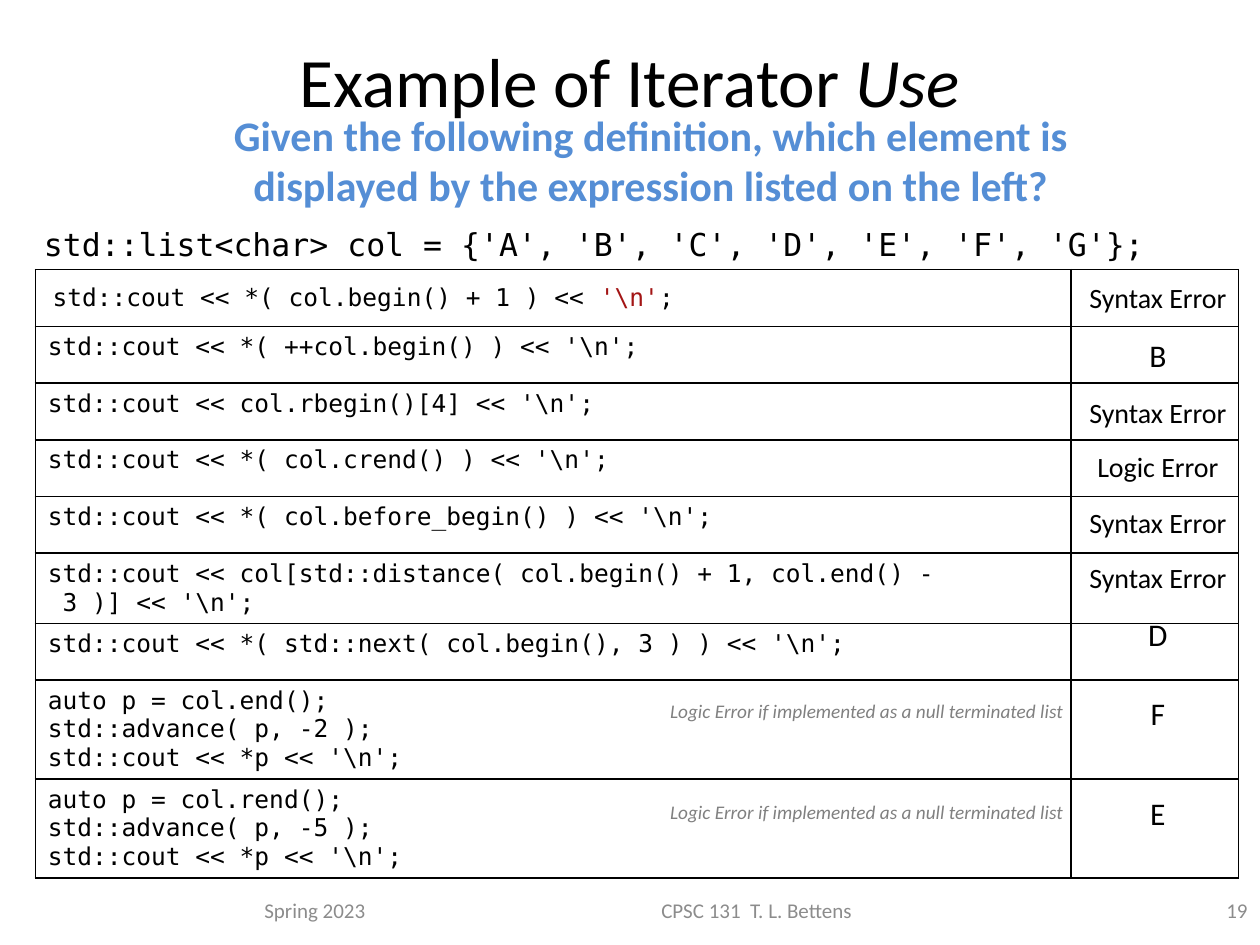
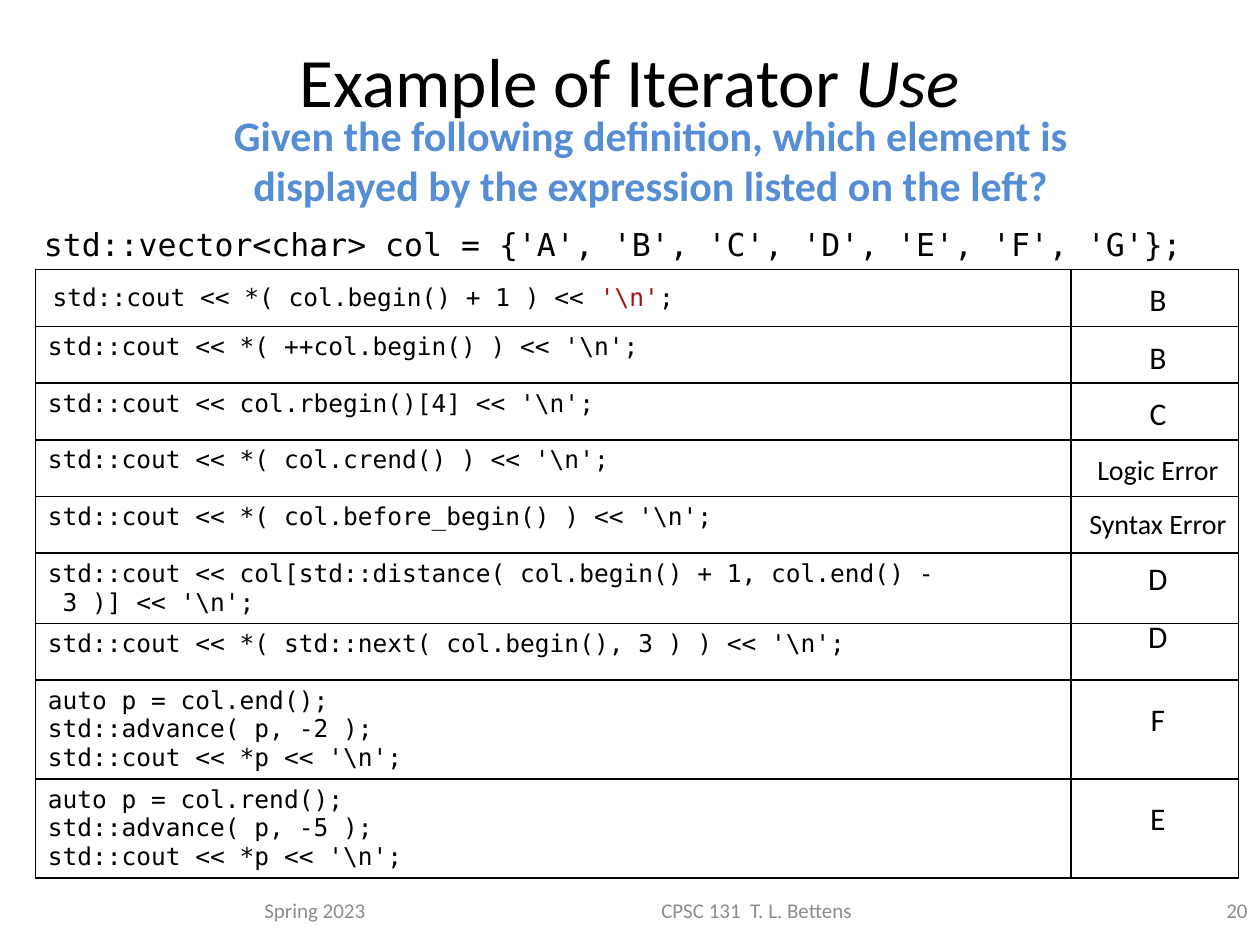
from dataclasses import dataclass

from lxml import etree
from pptx import Presentation
from pptx import util as u
from pptx.dml.color import RGBColor
from pptx.enum import text as t
from pptx.oxml import ns


# Theme: colours, fonts and type sizes
@dataclass(frozen=True)
class Theme:
    sans: str = "Calibri"
    mono: str = "DejaVu Sans Mono"
    black: str = "000000"
    blue: str = "558ED5"
    red: str = "A31515"
    gray: str = "8C8C8C"
    note: str = "808080"
    head: float = 39.6
    ask: float = 24
    large: float = 18
    mid: float = 16
    code: float = 14
    foot: float = 12
    small: float = 11


THEME = Theme()
LEFT, MID, RIGHT = t.PP_ALIGN.LEFT, t.PP_ALIGN.CENTER, t.PP_ALIGN.RIGHT


@dataclass(frozen=True)
class Style:
    size: float
    face: str = THEME.sans
    color: str = THEME.black
    bold: bool = False
    slant: bool = False
    align: int = MID


@dataclass(frozen=True)
class Box:
    left: float
    top: float
    width: float
    height: float


@dataclass(frozen=True)
class Answer:
    label: str
    top: float
    width: float = 1.5


@dataclass(frozen=True)
class Page:
    kind: str
    number: int
    answers: tuple[Answer, ...]
    notes: tuple[float, ...] = ()  # tops of the side notes


HEAD = Style(THEME.head)
ASK = Style(THEME.ask, color=THEME.blue, bold=True)
DEFINE = Style(THEME.large, THEME.mono, align=LEFT)
CODE = Style(THEME.code, THEME.mono, align=LEFT)
LETTER = Style(THEME.large)
ERROR = Style(THEME.mid)
NOTE = Style(THEME.small, color=THEME.note, slant=True)

# Text that both slides share
QUESTION = ("Given the following definition, which element is "
            "displayed by the expression listed on the left?")
SIDE = "Logic Error if implemented as a null terminated list"
HARD = chr(160)  # space that keeps a code line together
BREAK = r"'\n'"
CALLS = (
    (r" std::cout << *( col.begin() + 1 ) << '\n';",),
    (r"std::cout << *( ++col.begin() ) << '\n';",),
    (r"std::cout << col.rbegin()[4] << '\n';",),
    (r"std::cout << *( col.crend() ) << '\n';",),
    (r"std::cout << *( col.before_begin() ) << '\n';",),
    (r"std::cout << col[std::distance( col.begin() + 1, col.end() - 3 )] << '\n';",),
    (r"std::cout << *( std::next( col.begin(), 3 ) ) << '\n';",),
    ("auto p = col.end();", "std::advance( p, -2 );", r"std::cout << *p << '\n';"),
    ("auto p = col.rend();", "std::advance( p, -5 );", r"std::cout << *p << '\n';"),
)
COLS = (8.22, 1.33)
ROW = 0.45
CENTER = 9.19  # middle of the answer column

PAGES = (
    Page("list", 19, (
        Answer("Syntax Error", 2.18),
        Answer("B", 2.62, 0.83),
        Answer("Syntax Error", 3.09),
        Answer("Logic Error", 3.52),
        Answer("Syntax Error", 3.96, 1.39),
        Answer("Syntax Error", 4.4),
        Answer("D", 4.83, 0.83),
        Answer("F", 5.46, 1.21),
        Answer("E", 6.25),
    ), (5.5, 6.3)),
    Page("vector", 20, (
        Answer("B", 2.17),
        Answer("B", 2.63, 0.83),
        Answer("C", 3.08),
        Answer("Logic Error", 3.54),
        Answer("Syntax Error", 3.97),
        Answer("D", 4.39),
        Answer("D", 4.85, 0.83),
        Answer("F", 5.51, 1.21),
        Answer("E", 6.29),
    )),
)


def format_line(line, style: Style) -> None:
    line.alignment = style.align
    font = line.font
    font.name, font.size = style.face, u.Pt(style.size)
    font.bold, font.italic = style.bold, style.slant
    font.color.rgb = RGBColor.from_string(style.color)


def add_text(slide, words: str, box: Box, style: Style, grow: bool = True) -> None:
    shape = slide.shapes.add_textbox(*map(u.Inches, (box.left, box.top, box.width, box.height)))
    frame = shape.text_frame
    frame.word_wrap = True
    if grow:
        frame.auto_size = t.MSO_AUTO_SIZE.SHAPE_TO_FIT_TEXT
    else:
        frame.vertical_anchor = t.MSO_ANCHOR.MIDDLE
    frame.text = words
    format_line(frame.paragraphs[0], style)


def add_title(slide) -> None:
    title = slide.shapes.title
    title.left, title.top = u.Inches(0.5), u.Inches(0.3)
    title.width, title.height = u.Inches(9), u.Inches(1.25)
    frame = title.text_frame
    frame.auto_size = t.MSO_AUTO_SIZE.NONE
    frame.vertical_anchor = t.MSO_ANCHOR.TOP
    frame.margin_top = 0
    line = frame.paragraphs[0]
    line.add_run().text = "Example of Iterator "
    last = line.add_run()
    last.text = "Use"
    last.font.italic = True
    format_line(line, HEAD)


def frame_cell(cell) -> None:
    """Give a cell thin black edges and no fill."""
    props = cell._tc.get_or_add_tcPr()
    for edge in ("a:lnL", "a:lnR", "a:lnT", "a:lnB"):
        line = etree.SubElement(props, ns.qn(edge), w=str(u.Pt(1)))
        fill = etree.SubElement(line, ns.qn("a:solidFill"))
        etree.SubElement(fill, ns.qn("a:srgbClr"), val=THEME.black)
    cell.fill.background()


def fill_code(cell, lines: tuple[str, ...], first: bool) -> None:
    frame = cell.text_frame
    frame.text = "\n".join(lines).replace(" ", HARD)
    for line in frame.paragraphs:
        format_line(line, CODE)
    if first:
        # The first call marks its line break in red and sits mid cell
        line = frame.paragraphs[0]
        start, end = line.text.split(BREAK)
        line.runs[0].text = start
        mark = line.add_run()
        mark.text = BREAK
        mark.font.color.rgb = RGBColor.from_string(THEME.red)
        line.add_run().text = end
        cell.vertical_anchor = t.MSO_ANCHOR.MIDDLE
        cell.margin_left = cell.margin_right = u.Inches(0.02)
        cell.margin_top = cell.margin_bottom = u.Inches(0.02)


def add_calls(slide) -> None:
    table = slide.shapes.add_table(
        len(CALLS), len(COLS), u.Inches(0.28), u.Inches(2.14),
        u.Inches(sum(COLS)), u.Inches(ROW * len(CALLS))).table
    table.first_row = table.horz_banding = False
    for col, width in zip(table.columns, COLS):
        col.width = u.Inches(width)
    for index, lines in enumerate(CALLS):
        table.rows[index].height = u.Inches(ROW)
        fill_code(table.cell(index, 0), lines, index == 0)
    for cell in table.iter_cells():
        frame_cell(cell)


def add_answer(slide, answer: Answer) -> None:
    letter = len(answer.label) == 1
    box = Box(CENTER - answer.width / 2, answer.top, answer.width, 0.4 if letter else 0.37)
    add_text(slide, answer.label, box, LETTER if letter else ERROR)


def add_foot(slide, number: int) -> None:
    for words, left, width, align in (
        ("Spring 2023", 2, 2.33, LEFT),
        ("CPSC 131  T. L. Bettens", 4.42, 3.17, MID),
        (str(number), 7.67, 2.33, RIGHT),
    ):
        style = Style(THEME.foot, color=THEME.gray, align=align)
        add_text(slide, words, Box(left, 6.95, width, 0.55), style, grow=False)


def add_page(deck, page: Page) -> None:
    slide = deck.slides.add_slide(deck.slide_layouts.get_by_name("Title Only"))
    add_calls(slide)
    add_title(slide)
    add_foot(slide, page.number)
    add_text(slide, QUESTION, Box(1.75, 0.82, 6.83, 0.91), ASK)
    items = ", ".join(f"'{letter}'" for letter in "ABCDEFG")
    add_text(slide, f"std::{page.kind}<char> col = {{{items}}};",
             Box(0.25, 1.74, 9.25, 0.4), DEFINE)
    for answer in page.answers:
        add_answer(slide, answer)
    for top in page.notes:
        add_text(slide, SIDE, Box(5.17, top, 3.42, 0.29), NOTE)


def main() -> None:
    deck = Presentation()
    deck.slide_width, deck.slide_height = u.Inches(10), u.Inches(7.5)
    for page in PAGES:
        add_page(deck, page)
    deck.save("out.pptx")


if __name__ == "__main__":
    main()
